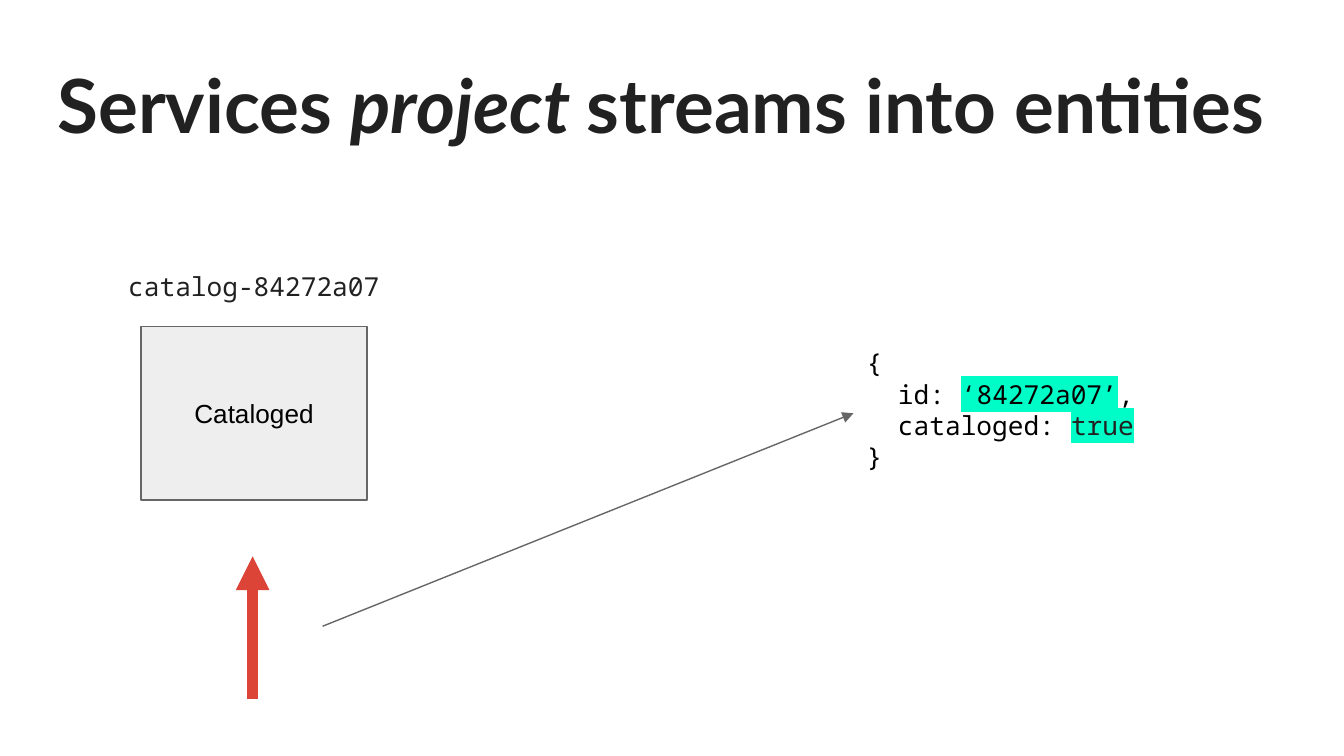
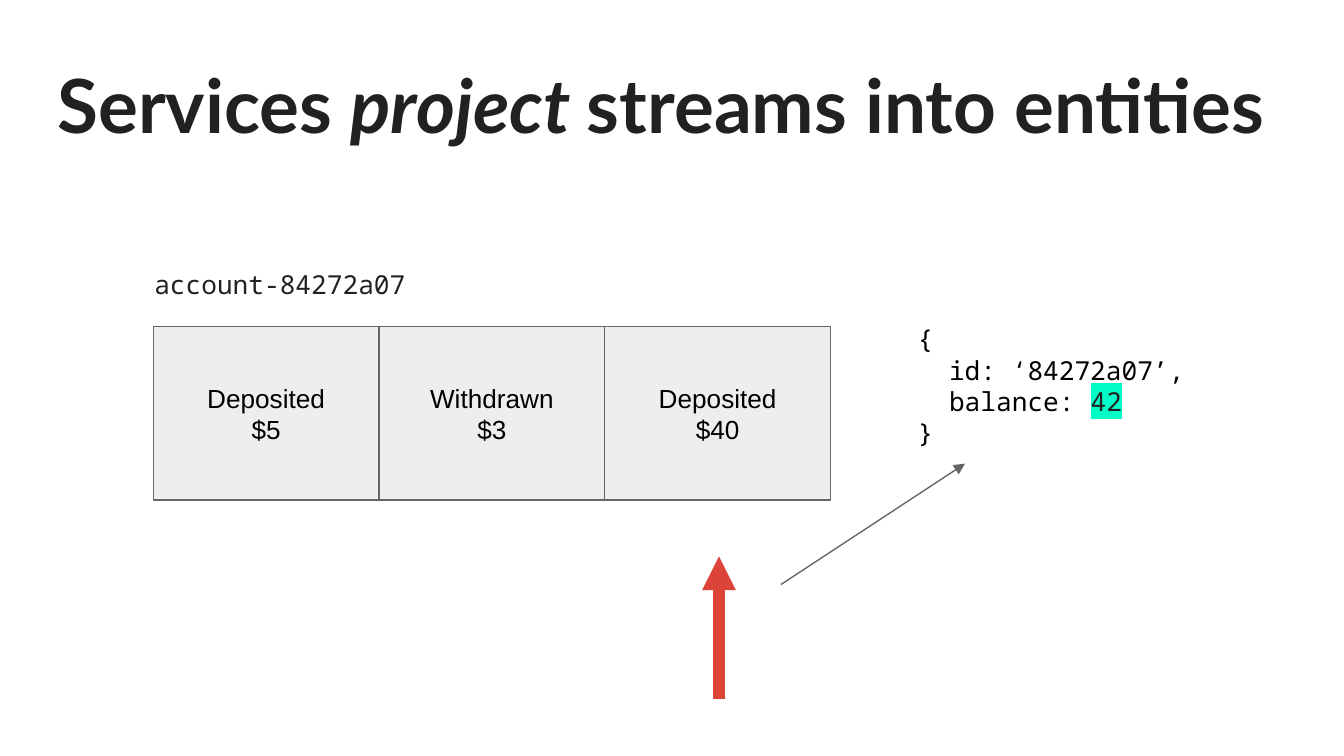
from lxml import etree
from pptx import Presentation
from pptx.dml.color import RGBColor
from pptx.enum.shapes import MSO_CONNECTOR, MSO_SHAPE
from pptx.enum.text import MSO_ANCHOR, PP_ALIGN
from pptx.oxml.ns import qn
from pptx.util import Inches, Pt

BLACK = RGBColor(0x00, 0x00, 0x00)
INK = RGBColor(0x21, 0x21, 0x21)
GREY = RGBColor(0x66, 0x66, 0x66)
EVENT_FILL = RGBColor(0xEE, 0xEE, 0xEE)
RED = RGBColor(0xDB, 0x44, 0x37)
MINT = RGBColor(0x00, 0xFD, 0xC8)

TITLE_FONT, EVENT_FONT, CODE_FONT = "Lato", "Arial", "Noto Sans Mono"
TITLE = [("Services ", False), ("project ", True), ("streams into entities", False)]

# Each entity line is a list of (text, colour, highlight).
SLIDES = [
    {
        "stream": "catalog-84272a07",
        "stream_box": (0.42, 1.91, 2.94, 0.36),
        "stream_align": PP_ALIGN.CENTER,
        "events": ["Cataloged"],
        "events_left": 1.05,
        "cursor_x": 1.88,
        "entity": [
            [("{", BLACK, None)],
            [("  id: ", BLACK, None), ("‘84272a07’", BLACK, MINT), (",", BLACK, None)],
            [("  cataloged: ", BLACK, None), ("true", INK, MINT)],
            [("}", BLACK, None)],
        ],
        "entity_box": (6.35, 2.48, 2.56, 1.19),
        "projection": ((2.4, 4.66), (6.35, 3.08)),
        "joined": True,
    },
    {
        "stream": "account-84272a07",
        "stream_box": (1.05, 1.9, 2.94, 0.36),
        "stream_align": PP_ALIGN.LEFT,
        "events": ["Deposited\n$5", "Withdrawn\n$3", "Deposited\n$40"],
        "events_left": 1.14,
        "cursor_x": 5.35,
        "entity": [
            [("{", BLACK, None)],
            [("  id: ‘84272a07’,", BLACK, None)],
            [("  balance: ", BLACK, None), ("42", INK, MINT)],
            [("}", BLACK, None)],
        ],
        "entity_box": (6.73, 2.3, 2.56, 1.55),
        "projection": ((5.81, 4.35), (7.18, 3.45)),
        "joined": False,
    },
]

SLIDE_WIDTH = 10
SLIDE_HEIGHT = SLIDE_WIDTH * 9 / 16
TITLE_BOX = (0.33, 0.34, 9.34, 0.82)
EVENT_TOP, EVENT_WIDTH, EVENT_HEIGHT = 2.43, 1.68, 1.29
CURSOR_BOTTOM, CURSOR_TOP = 5.2, 4.14


def inches(values):
    return [Inches(value) for value in values]


def set_frame(frame, anchor=MSO_ANCHOR.TOP):
    frame.word_wrap = True
    frame.vertical_anchor = anchor
    frame.margin_left = frame.margin_right = Inches(0.1)
    frame.margin_top = frame.margin_bottom = Inches(0.1)


def add_text_box(slide, box):
    text_box = slide.shapes.add_textbox(*inches(box))
    set_frame(text_box.text_frame)
    return text_box


def style(font, name, size, color):
    font.name, font.size = name, Pt(size)
    font.color.rgb = color


def highlight(run, color):
    """Mark a run whose font colour is already set."""
    mark = etree.Element(qn("a:highlight"))
    etree.SubElement(mark, qn("a:srgbClr"), val=str(color))
    run._r.get_or_add_rPr().find(qn("a:solidFill")).addnext(mark)


def add_arrow(slide, start, end, color, width):
    arrow = slide.shapes.add_connector(MSO_CONNECTOR.STRAIGHT, *inches(start + end))
    arrow.line.color.rgb = color
    arrow.line.width = Pt(width)
    etree.SubElement(arrow.line._get_or_add_ln(), qn("a:tailEnd"), type="triangle")
    etree.SubElement(arrow._element.spPr, qn("a:effectLst"))
    return arrow


def add_title(slide):
    paragraph = add_text_box(slide, TITLE_BOX).text_frame.paragraphs[0]
    for text, italic in TITLE:
        run = paragraph.add_run()
        run.text = text
        style(run.font, TITLE_FONT, 40, INK)
        run.font.bold, run.font.italic = True, italic


def add_entity(slide, box, lines):
    entity = add_text_box(slide, box)
    frame = entity.text_frame
    for index, line in enumerate(lines):
        paragraph = frame.add_paragraph() if index else frame.paragraphs[0]
        for text, color, mark in line:
            run = paragraph.add_run()
            run.text = text
            style(run.font, CODE_FONT, 14, color)
            if mark is not None:
                highlight(run, mark)
    return entity


def add_stream_name(slide, box, name, align):
    frame = add_text_box(slide, box).text_frame
    frame.text = name
    frame.paragraphs[0].alignment = align
    style(frame.paragraphs[0].runs[0].font, CODE_FONT, 14, INK)


def add_event(slide, left, text):
    event = slide.shapes.add_shape(
        MSO_SHAPE.RECTANGLE, *inches((left, EVENT_TOP, EVENT_WIDTH, EVENT_HEIGHT)))
    event.shadow.inherit = False
    event.fill.solid()
    event.fill.fore_color.rgb = EVENT_FILL
    event.line.color.rgb = GREY
    event.line.width = Pt(0.75)
    set_frame(event.text_frame, MSO_ANCHOR.MIDDLE)
    event.text_frame.text = text
    for paragraph in event.text_frame.paragraphs:
        paragraph.alignment = PP_ALIGN.CENTER
        style(paragraph.runs[0].font, EVENT_FONT, 14, BLACK)


def build_slide(prs, content):
    slide = prs.slides.add_slide(prs.slide_layouts[6])
    add_title(slide)
    add_stream_name(slide, content["stream_box"], content["stream"], content["stream_align"])
    entity = add_entity(slide, content["entity_box"], content["entity"])
    cursor_x = content["cursor_x"]
    add_arrow(slide, (cursor_x, CURSOR_BOTTOM), (cursor_x, CURSOR_TOP), RED, 6)
    for index, event in enumerate(content["events"]):
        add_event(slide, content["events_left"] + index * EVENT_WIDTH, event)
    projection = add_arrow(slide, *content["projection"], GREY, 0.75)
    if content["joined"]:
        projection.end_connect(entity, 1)


def main():
    prs = Presentation()
    prs.slide_width, prs.slide_height = inches((SLIDE_WIDTH, SLIDE_HEIGHT))
    for content in SLIDES:
        build_slide(prs, content)
    prs.save("out.pptx")


if __name__ == "__main__":
    main()
